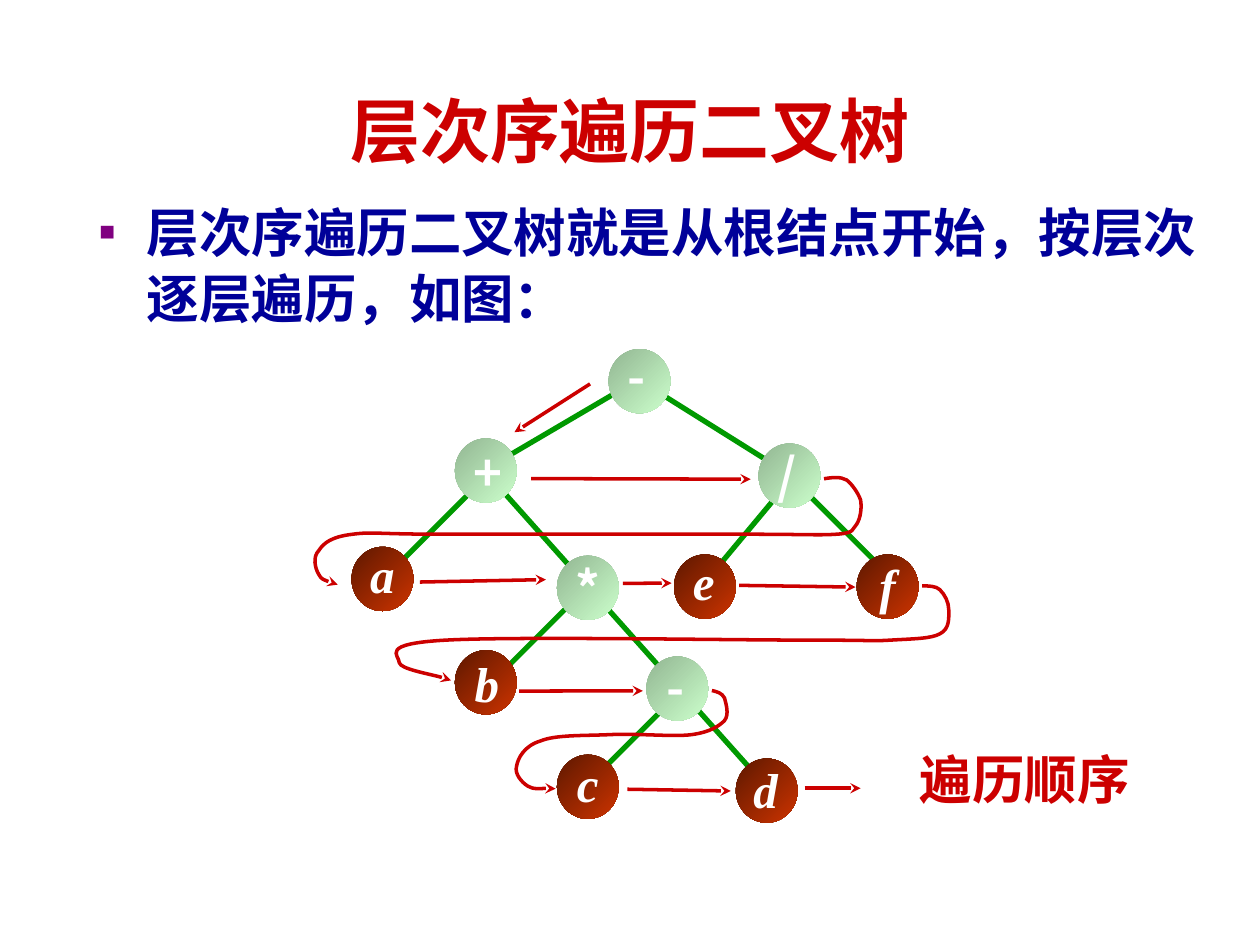
from lxml import etree
from pptx import Presentation
from pptx.dml.color import RGBColor
from pptx.enum.shapes import MSO_CONNECTOR, MSO_SHAPE
from pptx.enum.text import MSO_ANCHOR, MSO_AUTO_SIZE, PP_ALIGN
from pptx.oxml.ns import qn
from pptx.util import Pt

STRAIGHT = MSO_CONNECTOR.STRAIGHT
OVAL = MSO_SHAPE.OVAL
MIDDLE = MSO_ANCHOR.MIDDLE
FIT_SHAPE = MSO_AUTO_SIZE.SHAPE_TO_FIT_TEXT
LEFT, CENTER = PP_ALIGN.LEFT, PP_ALIGN.CENTER

SERIF, SANS, CJK = "Times New Roman", "Arial", "Noto Sans CJK SC"
RED, GREEN, NAVY, PURPLE, WHITE = "CC0000", "009900", "000099", "800080", "FFFFFF"
OPERATOR_SHADES = ("92B692", "CCFFCC")
OPERAND_SHADES = ("5E1800", "CC3300")
NODE_W, NODE_H = 35.3, 36.7

# Tree nodes: text, centre x and y, label left and top
OPERATORS = [
    ("-", 365.4, 217.8, 351.4, 194.4),
    ("+", 277.6, 268.9, 263.5, 249.1),
    ("/", 451.1, 271.8, 437, 251.3),
    ("*", 335.9, 335.9, 321.8, 315.4),
    ("-", 387, 393.5, 373.7, 372.2),
]
OPERANDS = [
    ("a", 218.5, 330.8, 204.5, 307.4),
    ("b", 277.6, 389.9, 264.2, 370.1),
    ("c", 335.9, 449.6, 322.6, 427),
    ("d", 438.1, 451.8, 423.4, 430.6),
    ("e", 402.8, 335.2, 388.8, 311.8),
    ("f", 507.2, 335.2, 495.4, 313.9),
]

# Lines as x1, y1, x2, y2; the branch from + to d runs behind * and -
BRANCHES = [
    (357.8, 221, 286.6, 262.8), (270, 280.1, 229, 321.1),
    (288, 281.5, 431.3, 442.1), (325.4, 345.6, 288, 383),
    (380.9, 403.2, 340.6, 443.5), (445, 282.2, 409, 325.4),
    (375.8, 223.9, 441.4, 265), (460.8, 281.5, 502.6, 323.3),
]
VISIT_STEPS = [
    (337.2, 219.4, 294, 247), (303.5, 273.5, 429, 273.8),
    (240, 332.6, 312, 331.2), (356, 333.4, 383.8, 333.2),
    (422.4, 334.5, 488.9, 335.5), (296.6, 394.9, 367.4, 394.8),
    (358.5, 451, 417.6, 452), (459.8, 450.4, 491.8, 450.4),
]

# Turns to the next level: a start point, then three points per curve
LEVEL_TURNS = [
    [(470.9, 273.6), (475.2, 272.9), (480.2, 272.2), (483.8, 274.3),
     (486.7, 276.5), (490.3, 281.5), (491.8, 285.8),
     (492.5, 290.2), (491.8, 295.9), (489.6, 299.5),
     (486.7, 302.4), (488.9, 304.6), (478.1, 305.3),
     (467.3, 306), (461.5, 305.3), (424.1, 305.3),
     (386.6, 305.3), (290.2, 305.3), (252.7, 305.3),
     (215.3, 305.3), (213.1, 303.8), (201.6, 305.3),
     (189.4, 306.7), (185, 310.3), (182.2, 314.6),
     (178.6, 318.2), (180, 324.7), (182.2, 328.3),
     (183.6, 331.2), (190.1, 333.4), (193, 334.1)],
    [(527, 334.8), (530.6, 334.8), (535, 334.8), (537.1, 337),
     (540, 339.8), (542.2, 344.2), (542.2, 348.5),
     (542.2, 352.8), (542.9, 359.3), (537.1, 362.2),
     (532.1, 365), (522, 365), (509, 365.8),
     (496.1, 366.5), (504, 365.8), (461.5, 365.8),
     (419, 365.8), (293.8, 363.6), (254.9, 365.8),
     (216, 367.9), (228.2, 374.4), (228.2, 378.7),
     (229, 382.3), (253.4, 386.6), (257.8, 388.8)],
    [(406.8, 394.6), (409.7, 395.3), (412.6, 396), (414, 398.9),
     (414.7, 401.8), (416.9, 408.2), (414, 411.8),
     (411.1, 414.7), (406.1, 418.3), (395.3, 419.8),
     (384.5, 421.2), (363.6, 419), (348.5, 419.8),
     (334.1, 420.5), (317.5, 419.8), (308.9, 423.4),
     (299.5, 426.2), (295.9, 433.4), (295.2, 437.8),
     (293.8, 442.1), (298.1, 447.1), (301.7, 449.3),
     (305.3, 451.4), (315.4, 450), (317.5, 450.7)],
]


def rgb(value):
    return RGBColor.from_string(value)


def add_text(slide, text, box, size, font, color, italic=False, wrap=True, align=LEFT):
    frame = slide.shapes.add_textbox(*[Pt(v) for v in box]).text_frame
    frame.word_wrap = wrap
    frame.text = text
    paragraph = frame.paragraphs[0]
    paragraph.alignment = align
    run = paragraph.runs[0]
    run.font.size = Pt(size)
    run.font.name = font
    run.font.bold = True
    run.font.italic = italic
    run.font.color.rgb = rgb(color)
    etree.SubElement(run.font._element, qn("a:ea"), typeface=CJK)
    return frame


def add_square_bullet(paragraph, indent):
    props = paragraph._p.get_or_add_pPr()
    props.set("marL", str(Pt(indent)))
    props.set("indent", str(-Pt(indent)))
    color = etree.SubElement(props, qn("a:buClr"))
    etree.SubElement(color, qn("a:srgbClr"), val=PURPLE)
    etree.SubElement(props, qn("a:buSzPct"), val="50000")
    etree.SubElement(props, qn("a:buFont"), typeface=SANS)
    etree.SubElement(props, qn("a:buChar"), char="■")


def style_line(line, color, width, arrow):
    line.color.rgb = rgb(color)
    line.width = Pt(width)
    if arrow:
        etree.SubElement(line._get_or_add_ln(), qn("a:tailEnd"), type="stealth")


def add_line(slide, ends, color, width, arrow=False):
    connector = slide.shapes.add_connector(STRAIGHT, *[Pt(v) for v in ends])
    style_line(connector.line, color, width, arrow)
    etree.SubElement(connector._element.spPr, qn("a:effectLst"))


def add_curve(slide, points):
    start, *rest = [(Pt(x), Pt(y)) for x, y in points]
    builder = slide.shapes.build_freeform(*start)
    builder.add_line_segments(rest, close=False)
    curve = builder.convert_to_shape()
    curve.shadow.inherit = False
    curve.fill.background()
    style_line(curve.line, RED, 2, arrow=True)
    # Join each three straight segments into one Bezier curve
    outline = curve._element.find(".//" + qn("a:path"))
    segments = outline.findall(qn("a:lnTo"))
    for first in range(0, len(segments), 3):
        bezier = etree.SubElement(outline, qn("a:cubicBezTo"))
        for segment in segments[first:first + 3]:
            bezier.append(segment[0])
            outline.remove(segment)


def add_node(slide, x, y, shades):
    node = slide.shapes.add_shape(
        OVAL, Pt(x - NODE_W / 2), Pt(y - NODE_H / 2), Pt(NODE_W), Pt(NODE_H))
    node.shadow.inherit = False
    node.line.fill.background()
    node.fill.gradient()
    node.fill.gradient_angle = 315
    for stop, shade in zip(node.fill.gradient_stops, shades):
        stop.color.rgb = rgb(shade)


def add_node_label(slide, text, left, top, font, italic):
    label = add_text(slide, text, (left, top, 28.8, 41), 28, font, WHITE, italic, wrap=False)
    label.auto_size = FIT_SHAPE


def main():
    prs = Presentation()
    prs.slide_width, prs.slide_height = Pt(720), Pt(540)
    slide = prs.slides.add_slide(prs.slide_layouts[6])

    # Title, explanation and caption
    title = add_text(slide, "层次序遍历二叉树", (36, 36, 648, 75.6), 40, SANS, RED, align=CENTER)
    title.vertical_anchor = MIDDLE
    body = add_text(slide, "层次序遍历二叉树就是从根结点开始，按层次逐层遍历，如图：",
                    (49.7, 108.7, 648, 306), 30, SERIF, NAVY)
    body.paragraphs[0].line_spacing = 1.05
    add_square_bullet(body.paragraphs[0], 27)
    add_text(slide, "遍历顺序", (518.4, 423.4, 162, 43.2), 30, SERIF, RED)

    # Tree
    for branch in BRANCHES:
        add_line(slide, branch, GREEN, 3)
    for nodes, shades, font, italic in ((OPERATORS, OPERATOR_SHADES, CJK, False),
                                        (OPERANDS, OPERAND_SHADES, SERIF, True)):
        for text, x, y, left, top in nodes:
            add_node(slide, x, y, shades)
            add_node_label(slide, text, left, top, font, italic)

    # Order of the visit
    for step in VISIT_STEPS:
        add_line(slide, step, RED, 2, arrow=True)
    for turn in LEVEL_TURNS:
        add_curve(slide, turn)

    prs.save("out.pptx")


if __name__ == "__main__":
    main()
